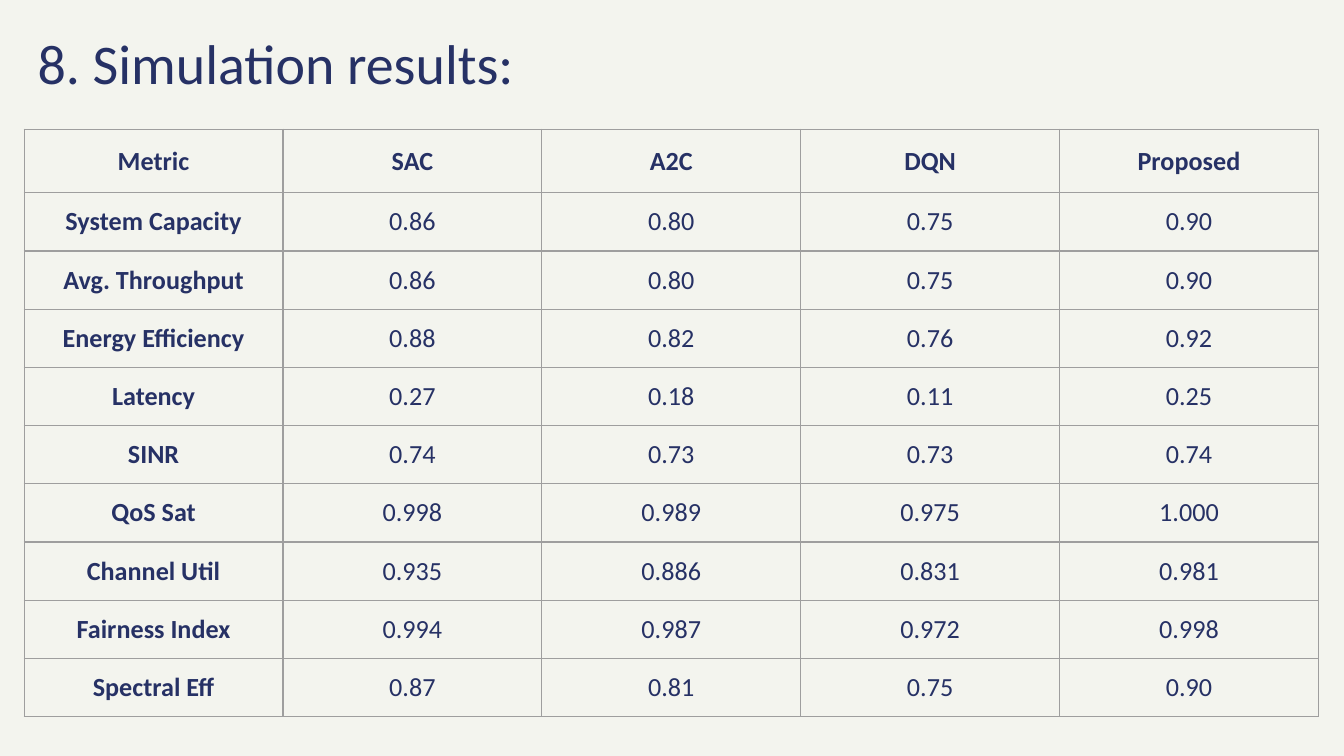
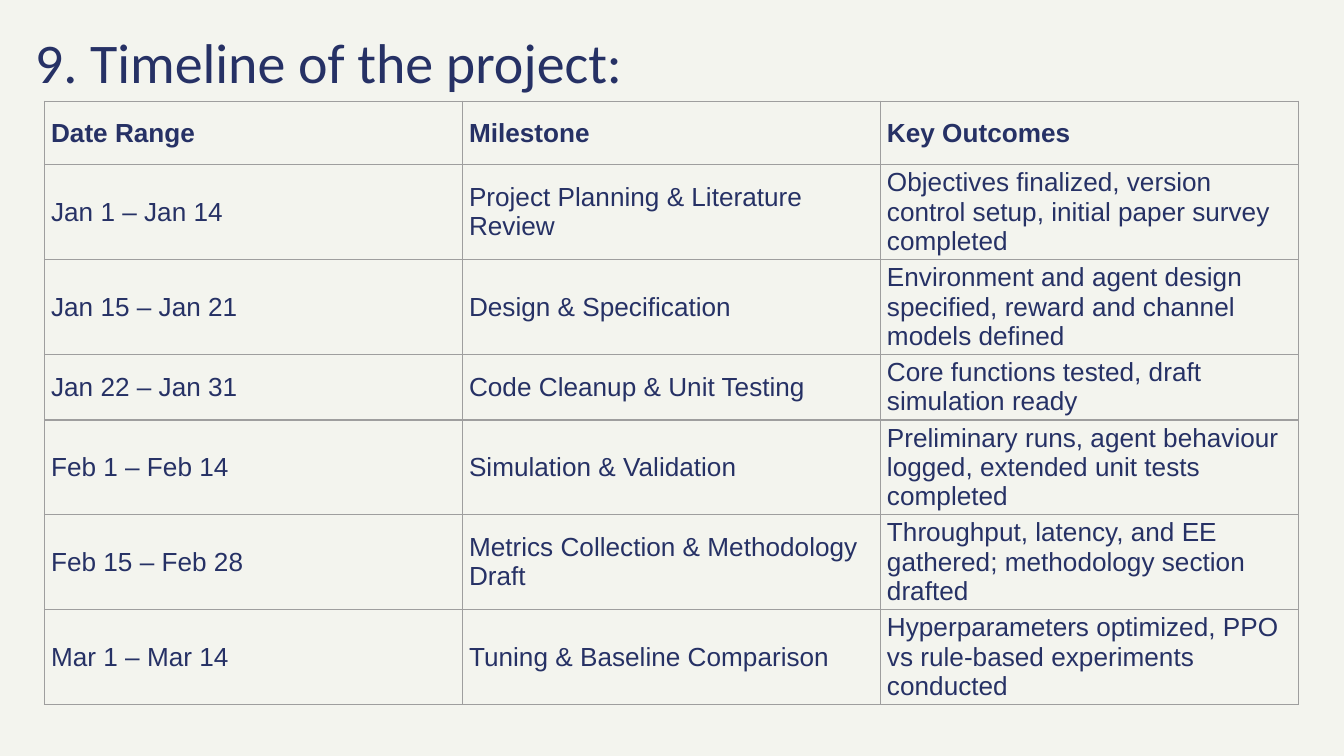
from dataclasses import dataclass

from lxml.etree import SubElement
from pptx import Presentation
from pptx.dml.color import RGBColor
from pptx.enum.text import MSO_ANCHOR, MSO_AUTO_SIZE, PP_ALIGN
from pptx.oxml.ns import qn
from pptx.util import Inches, Pt


@dataclass(frozen=True)
class Theme:
    paper: str = "F3F4EE"
    ink: str = "263165"
    rule: str = "9E9E9E"
    rule_width: float = 0.75
    title_font: str = "Calibri"
    title_size: int = 30
    cell_size: int = 14
    cell_pad_y: float = 1.8


class Deck:
    """Holds the theme and current slide; lengths are in a 100 by 100 grid."""

    def __init__(self, theme):
        self.theme = theme
        self.prs = Presentation()
        self.prs.slide_width, self.prs.slide_height = Inches(10), Inches(5.625)
        fill = self.prs.slide_master.background.fill
        fill.solid()
        fill.fore_color.rgb = RGBColor.from_string(theme.paper)
        self.s = None

    def x(self, cols):
        return round(self.prs.slide_width * cols / 100)

    def y(self, rows):
        return round(self.prs.slide_height * rows / 100)

    def style(self, p, font, size, bold=False, align=PP_ALIGN.LEFT):
        p.alignment = align
        for r in p.runs:
            r.font.name, r.font.size, r.font.bold = font, Pt(size), bold
            r.font.color.rgb = RGBColor.from_string(self.theme.ink)

    def slide(self, title, left, top):
        self.s = self.prs.slides.add_slide(self.prs.slide_layouts[5])
        sp = self.s.shapes.title
        sp.left, sp.top = self.x(left), self.y(top)
        sp.width, sp.height = self.x(98.4), self.y(12.6)
        tf = sp.text_frame
        tf.text = title
        tf.word_wrap, tf.auto_size = True, MSO_AUTO_SIZE.NONE
        tf.vertical_anchor = MSO_ANCHOR.TOP
        tf.margin_left = tf.margin_right = Inches(0.1)
        tf.margin_top = tf.margin_bottom = Inches(0.1)
        self.style(tf.paragraphs[0], self.theme.title_font, self.theme.title_size)

    def border(self, cell):
        pr = cell._tc.get_or_add_tcPr()
        for i, side in enumerate(("lnL", "lnR", "lnT", "lnB")):
            ln = pr.makeelement(qn(f"a:{side}"), {"w": str(Pt(self.theme.rule_width))})
            SubElement(SubElement(ln, qn("a:solidFill")), qn("a:srgbClr"), val=self.theme.rule)
            pr.insert(i, ln)

    def table(self, data, left, top, width, head_row, body_row, font, pad_x,
              align=PP_ALIGN.LEFT, bold_first=False):
        """Draw equal columns, with the first row as a bold heading."""
        heights = [head_row] + [body_row] * (len(data) - 1)
        tbl = self.s.shapes.add_table(len(data), len(data[0]), self.x(left), self.y(top),
                                      self.x(width), self.y(sum(heights))).table
        tbl.first_row = tbl.horz_banding = False
        for row, height in zip(tbl.rows, heights):
            row.height = self.y(height)
        for i, values in enumerate(data):
            for j, value in enumerate(values):
                cell = tbl.cell(i, j)
                cell.text = value
                cell.vertical_anchor = MSO_ANCHOR.MIDDLE
                cell.margin_left = cell.margin_right = Pt(pad_x)
                cell.margin_top = cell.margin_bottom = Pt(self.theme.cell_pad_y)
                cell.fill.background()
                self.border(cell)
                bold = i == 0 or (bold_first and j == 0)
                self.style(cell.text_frame.paragraphs[0], font, self.theme.cell_size, bold, align)


RESULTS = [
    ("Metric", "SAC", "A2C", "DQN", "Proposed"),
    ("System Capacity", "0.86", "0.80", "0.75", "0.90"),
    ("Avg. Throughput", "0.86", "0.80", "0.75", "0.90"),
    ("Energy Efficiency", "0.88", "0.82", "0.76", "0.92"),
    ("Latency", "0.27", "0.18", "0.11", "0.25"),
    ("SINR", "0.74", "0.73", "0.73", "0.74"),
    ("QoS Sat", "0.998", "0.989", "0.975", "1.000"),
    ("Channel Util", "0.935", "0.886", "0.831", "0.981"),
    ("Fairness Index", "0.994", "0.987", "0.972", "0.998"),
    ("Spectral Eff", "0.87", "0.81", "0.75", "0.90"),
]

TIMELINE = [
    ("Date Range", "Milestone", "Key Outcomes"),
    ("Jan 1 – Jan 14", "Project Planning & Literature Review",
     "Objectives finalized, version control setup, initial paper survey completed"),
    ("Jan 15 – Jan 21", "Design & Specification",
     "Environment and agent design specified, reward and channel models defined"),
    ("Jan 22 – Jan 31", "Code Cleanup & Unit Testing",
     "Core functions tested, draft simulation ready"),
    ("Feb 1 – Feb 14", "Simulation & Validation",
     "Preliminary runs, agent behaviour logged, extended unit tests completed"),
    ("Feb 15 – Feb 28", "Metrics Collection & Methodology Draft",
     "Throughput, latency, and EE gathered; methodology section drafted"),
    ("Mar 1 – Mar 14", "Tuning & Baseline Comparison",
     "Hyperparameters optimized, PPO vs rule-based experiments conducted"),
]


def main():
    deck = Deck(Theme())

    deck.slide("8. Simulation results:", 1.8, 2)
    deck.table(RESULTS, 1.8, 17.1, 96.3, 8.4, 7.7, "Calibri", 4.5,
               align=PP_ALIGN.CENTER, bold_first=True)

    deck.slide("9. Timeline of the project:", 1.6, 1.8)
    deck.table(TIMELINE, 3.3, 13.4, 93.3, 8.4, 7.5, "Arial", 3.6)

    deck.prs.save("out.pptx")


if __name__ == "__main__":
    main()
